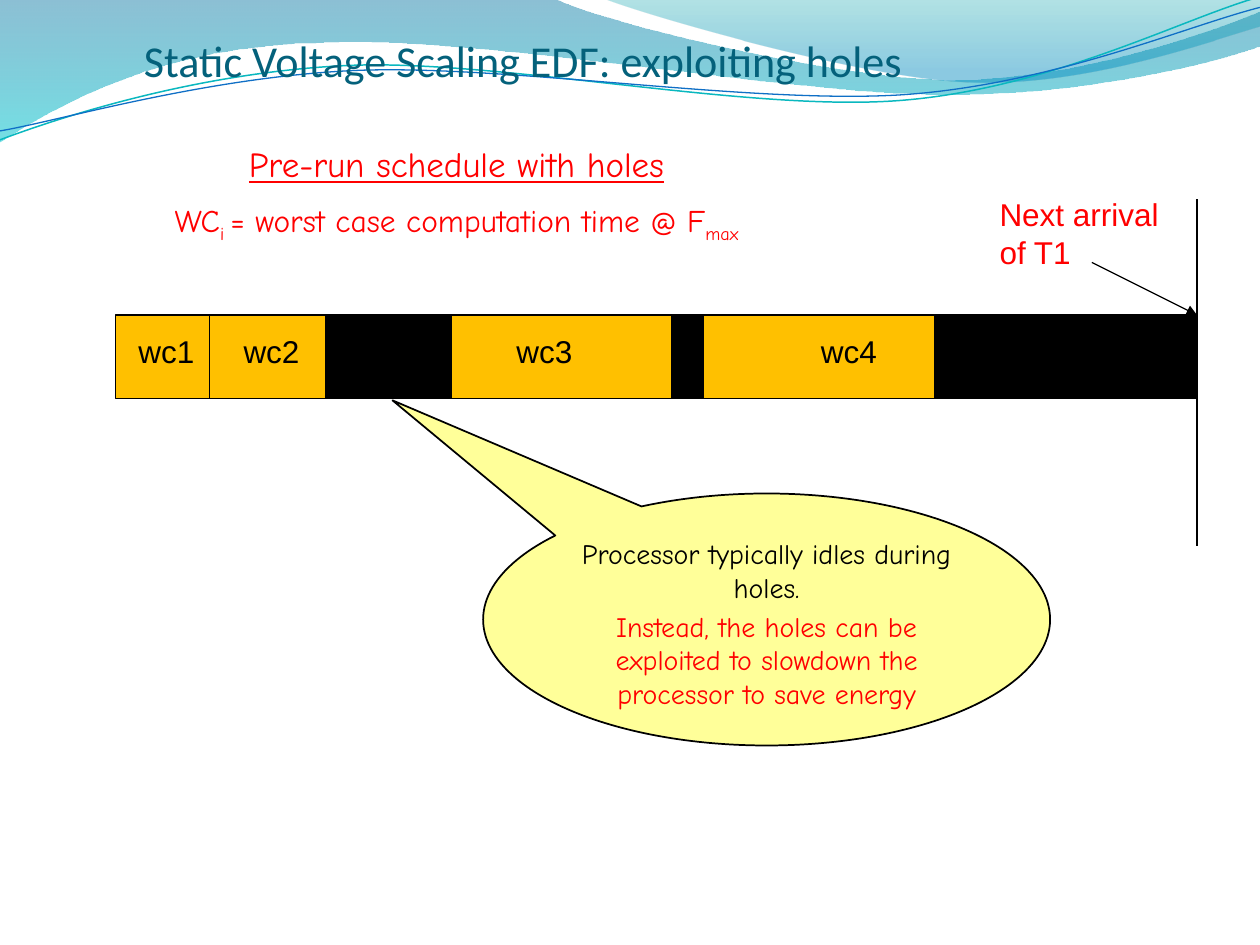
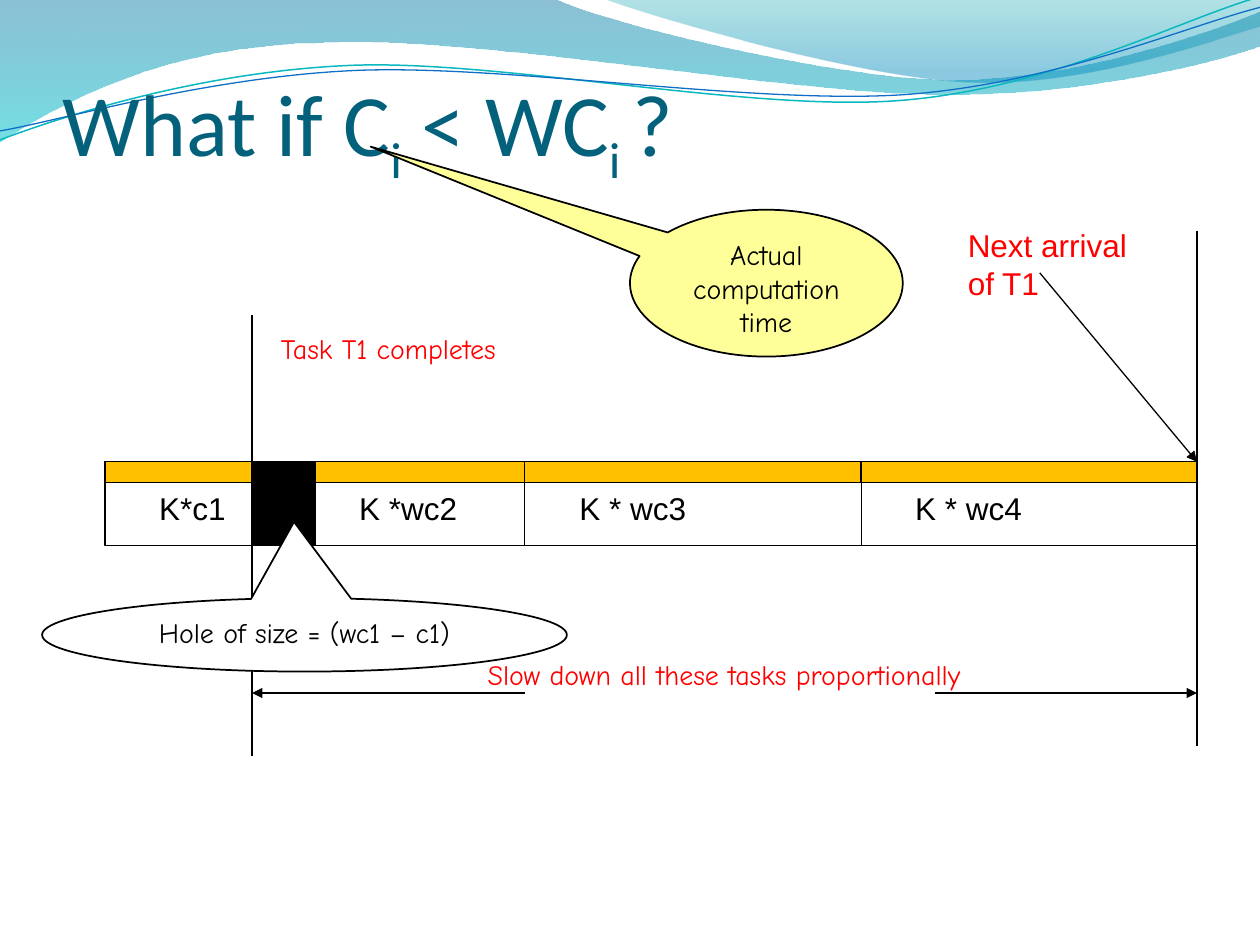
from dataclasses import dataclass

from pptx import Presentation
from pptx.dml.color import RGBColor
from pptx.enum.shapes import MSO_CONNECTOR, MSO_SHAPE
from pptx.enum.text import MSO_ANCHOR, PP_ALIGN
from pptx.oxml.ns import qn
from pptx.oxml.xmlchemy import OxmlElement
from pptx.util import Cm, Pt

RECT = MSO_SHAPE.RECTANGLE
BUBBLE = MSO_SHAPE.OVAL_CALLOUT
STRAIGHT = MSO_CONNECTOR.STRAIGHT
TOP, BOTTOM = MSO_ANCHOR.TOP, MSO_ANCHOR.BOTTOM
LEFT, CENTER = PP_ALIGN.LEFT, PP_ALIGN.CENTER

HEX = {
    "title": "04617B", "black": "000000", "white": "FFFFFF", "red": "FF0000",
    "gold": "FFC000", "cream": "FFFF99", "teal": "0AB8BF", "blue": "0F6FC6",
    "deep": "0074A1", "aqua": "00C6CF", "sea": "00A1A9", "sky": "008BBF",
}
COMIC, ARIAL, CALIBRI = "Comic Neue", "Arial", "Calibri"
END = 24.13  # next arrival of T1
BAR = 1.69  # height of a schedule bar

# Outlines in cm: a pair is a line to a point, six numbers are a Bezier curve.
# Bands add gradient stops: colour, position, opacity in percent.
BANDS = [
    ([(0, -0.03), (11.18, -0.03), (12.09, 0.43, 16.87, 1.6, 19.25, 1.6),
      (21.67, 1.6, 24.33, 0.66, 25.4, 0.23), (25.43, 0.91),
      (24.97, 1.12, 22.1, 1.93, 18.95, 1.9), (15.8, 1.9, 9.7, 0.71, 6.53, 0.86),
      (3.28, 0.89, 1.17, 2.11, -0.03, 2.87)],
     [("deep", 0, 45), ("aqua", 1, 55)]),
    ([(12.17, -0.03), (12.93, 0.28, 17.32, 1.57, 19.53, 1.65),
      (21.87, 1.75, 24.41, 0.81, 25.4, 0.53), (25.4, 0)],
     [("sea", 0, 30), ("sky", 0.8, 45)]),
]
WAVES = [
    ([(0, 2.82), (1.22, 2.36, 4.01, 1.45, 7.04, 1.32),
      (10.03, 1.19, 15.06, 2.26, 18.11, 2.03),
      (21.16, 1.8, 23.83, 0.38, 25.35, -0.05)], "teal", 0.85),
    ([(0, 2.64), (1.19, 2.44, 4.17, 1.55, 7.19, 1.42),
      (10.24, 1.3, 15.16, 2.11, 18.21, 1.91),
      (21.23, 1.7, 23.9, 0.53, 25.4, 0.15)], "blue", 0.75),
]


@dataclass
class Run:
    text: str
    size: float = 16
    color: str = "black"
    font: str = COMIC
    sub: bool = False
    under: bool = False


def rgb(name):
    return RGBColor.from_string(HEX[name])


def free(slide, outline, close):
    """Draw an outline, joining each three points of a curve into a Bezier."""
    points = [(Cm(part[i]), Cm(part[i + 1]))
              for part in outline for i in range(0, len(part), 2)]
    build = slide.shapes.build_freeform(*points[0])
    build.add_line_segments(points[1:], close=close)
    shape = build.convert_to_shape()
    shape.shadow.inherit = False
    legs = iter(list(shape._element.spPr.iter(qn("a:lnTo"))))
    for part in outline[1:]:
        leg = next(legs)
        if len(part) == 6:
            curve = OxmlElement("a:cubicBezTo")
            leg.addprevious(curve)
            for old in (leg, next(legs), next(legs)):
                curve.append(old[0])
                old.getparent().remove(old)
    return shape


def band(slide, outline, stops):
    shape = free(slide, outline, True)
    shape.line.fill.background()
    shape.fill.gradient()
    shape.fill.gradient_angle = 270
    for stop, (color, place, _) in zip(shape.fill.gradient_stops, stops):
        stop.color.rgb = rgb(color)
        stop.position = place
    grad = shape._element.spPr.find(qn("a:gradFill"))
    for color, (_, _, shown) in zip(grad.iter(qn("a:srgbClr")), stops):
        alpha = OxmlElement("a:alpha")
        alpha.set("val", str(shown * 1000))
        color.append(alpha)


def wave(slide, outline, color, width):
    shape = free(slide, outline, False)
    shape.fill.background()
    shape.line.color.rgb = rgb(color)
    shape.line.width = Pt(width)


def write(frame, paras, align, gap=0, anchor=TOP):
    """Fill a text frame; gap is the space in points between paragraphs."""
    frame.word_wrap = True
    frame.vertical_anchor = anchor
    for i, runs in enumerate(paras):
        para = frame.add_paragraph() if i else frame.paragraphs[0]
        para.alignment = align
        if i:
            para.space_before = Pt(gap)
        for item in runs:
            run = para.add_run()
            run.text = item.text
            run.font.name = item.font
            run.font.size = Pt(item.size)
            run.font.color.rgb = rgb(item.color)
            if item.under:
                run.font.underline = True
            if item.sub:
                run._r.get_or_add_rPr().set("baseline", "-25000")


def label(slide, box, *paras, align=LEFT, gap=0, anchor=TOP):
    text = slide.shapes.add_textbox(*map(Cm, box))
    write(text.text_frame, paras, align, gap, anchor)
    return text


def shape(slide, kind, box, fill, width=0.75):
    item = slide.shapes.add_shape(kind, *map(Cm, box))
    item.shadow.inherit = False
    item.fill.solid()
    item.fill.fore_color.rgb = rgb(fill)
    item.line.color.rgb = rgb("black")
    item.line.width = Pt(width)
    return item


def block(slide, left, right, top, fill, height=BAR):
    shape(slide, RECT, (left, top, right - left, height), fill)


def bubble(slide, box, tip, fill, *paras):
    item = shape(slide, BUBBLE, box, fill, 1)
    item.adjustments[0], item.adjustments[1] = tip
    write(item.text_frame, paras, CENTER, 3.2)


def line(slide, start, end, arrow=False):
    link = slide.shapes.add_connector(STRAIGHT, *map(Cm, start + end))
    link.line.color.rgb = rgb("black")
    link.line.width = Pt(0.75)
    link._element.spPr.append(OxmlElement("a:effectLst"))
    if arrow:
        head = OxmlElement("a:tailEnd")
        head.set("type", "triangle")
        link.line._get_or_add_ln().append(head)


def bar(slide, left, right, top, fill, cuts):
    """A schedule bar with a line at each cut between tasks and holes."""
    block(slide, left, right, top, fill)
    for x in cuts:
        line(slide, (x, top), (x, top + BAR))


def names(slide, top, tasks):
    for text, left, width in tasks:
        label(slide, (left, top, width, 1.02), [Run(text, 18, font=ARIAL)])


def arrive(slide, left, top, start, end):
    label(slide, (left, top, 4.23, 1.78),
          [Run("Next arrival of T1", 18, "red", ARIAL)])
    line(slide, start, end, arrow=True)


def begin(deck, box, size, *parts):
    """Add a slide with bands, waves and a title; every second part is subscript."""
    slide = deck.slides.add_slide(deck.slide_layouts[6])
    for item in BANDS:
        band(slide, *item)
    for item in WAVES:
        wave(slide, *item)
    runs = [Run(text, size, "title", CALIBRI, sub=i % 2 == 1)
            for i, text in enumerate(parts)]
    frame = label(slide, box, runs, anchor=BOTTOM).text_frame
    frame.margin_left = frame.margin_right = frame.margin_bottom = 0
    return slide


def holes(deck):
    slide = begin(deck, (2.9, 0.76, 21.23, 0.99), 25.2,
                  "Static Voltage Scaling EDF: exploiting holes")
    top = 6.35
    gaps = [(6.56, 9.1), (13.55, 14.18), (18.84, END)]
    bar(slide, 2.33, 18.84, top, "gold", [4.23, *gaps[0], *gaps[1]])
    names(slide, 6.56, [("wc1", 2.54, 1.69), ("wc2", 4.66, 1.69),
                        ("wc3", 10.16, 1.69), ("wc4", 16.3, 1.69)])
    line(slide, (12.7, top + BAR), (END, top + BAR))
    line(slide, (END, 11), (END, 4.02))
    for left, right in gaps:
        block(slide, left, right, top, "black")
    arrive(slide, 19.9, 3.81, (22.01, 5.29), (END, top))
    label(slide, (1.69, 2.75, 15.03, 2.26),
          [Run("Pre-run schedule with holes", 20, "red", under=True)],
          [Run("WC", 18, "red"), Run("i ", 18, "red", sub=True),
           Run("= worst case computation time @ F", 18, "red"),
           Run("max", 18, "red", sub=True)],
          align=CENTER, gap=9.5)
    bubble(slide, (9.74, 9.95, 11.43, 5.08), (-0.66, -0.87), "cream",
           [Run("Processor typically idles during holes.")],
           [Run("Instead, the holes can be exploited to slowdown the "
                "processor to save energy", color="red")])


def early(deck):
    slide = begin(deck, (1.27, 0.64, 23.07, 3.17), 50,
                  "What if C", "i", " < WC", "i ", "?")
    top, done = 9.31, 5.08
    edges = [6.35, 10.58, 17.36, END]
    bar(slide, 2.12, END, top, "white", [done, *edges[:-1]])
    names(slide, 9.74, [("K*c1", 2.96, 2.33), ("K *wc2", 6.99, 2.54),
                        ("K * wc3", 11.43, 4.23), ("K * wc4", 18.2, 4.87)])
    for left, right in [(2.12, done), *zip(edges, edges[1:])]:
        block(slide, left, right, top, "gold", 0.42)
    block(slide, done, edges[0], top, "black")
    line(slide, (END, 15.03), (END, 4.66))
    arrive(slide, 19.26, 4.44, (20.96, 5.5), (END, top))
    bubble(slide, (12.7, 4.23, 5.5, 2.96), (-1.45, -0.93), "cream",
           [Run("Actual computation time")])
    line(slide, (done, 15.24), (done, 6.35))
    label(slide, (4.02, 6.56, 7.62, 0.93),
          [Run("Task T1 completes", color="red")], align=CENTER)
    label(slide, (9.31, 13.13, 10.58, 1.63),
          [Run("Slow down all these tasks proportionally", color="red")],
          align=CENTER)
    for start, end in [(18.84, END), (10.58, done)]:
        line(slide, (start, 13.97), (end, 13.97), arrow=True)
    bubble(slide, (0.85, 12.06, 10.58, 1.48), (-0.02, -1.54), "white",
           [Run("Hole of size = (wc1 – c1)")])


def main():
    deck = Presentation()
    deck.slide_width, deck.slide_height = Cm(25.4), Cm(19.05)
    holes(deck)
    early(deck)
    deck.save("out.pptx")


if __name__ == "__main__":
    main()
